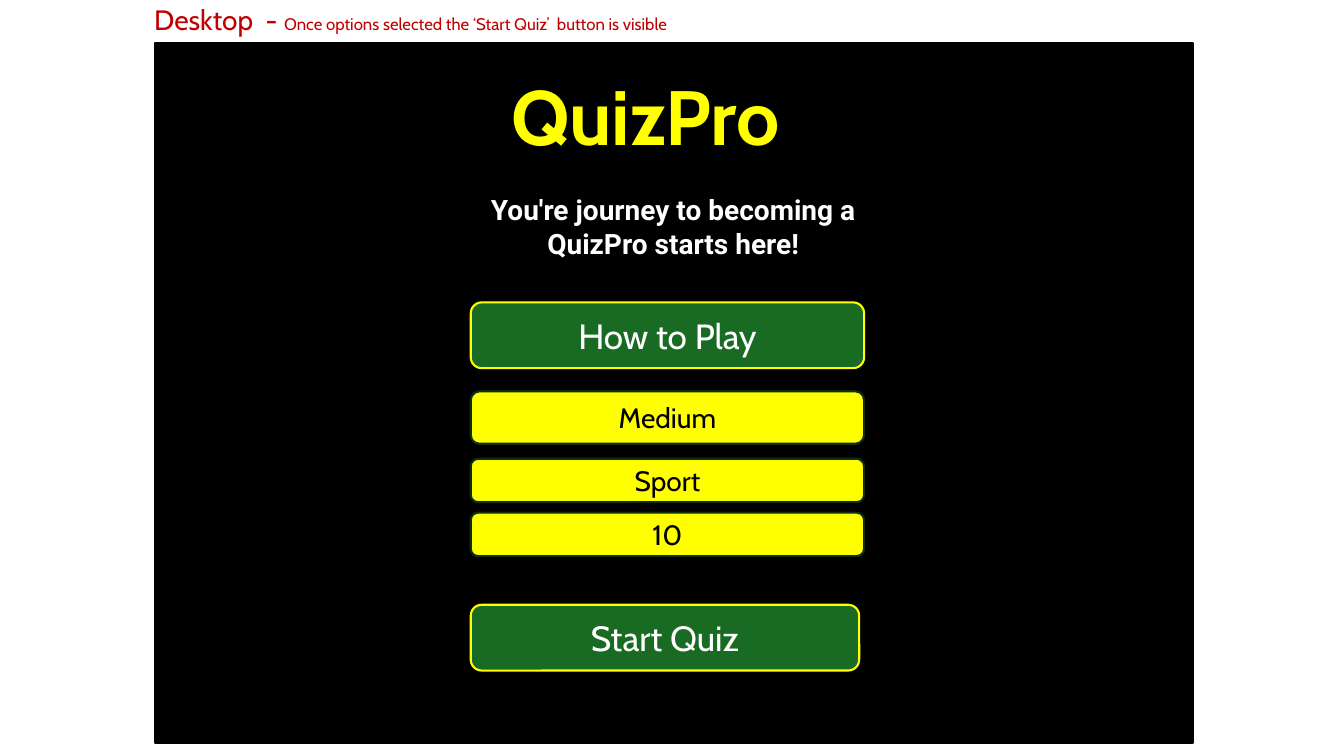
from pptx import Presentation
from pptx.dml.color import RGBColor
from pptx.enum.shapes import MSO_SHAPE
from pptx.enum.text import MSO_ANCHOR, PP_ALIGN
from pptx.util import Pt

RECTANGLE, ROUNDED = MSO_SHAPE.RECTANGLE, MSO_SHAPE.ROUNDED_RECTANGLE
TOP, MIDDLE = MSO_ANCHOR.TOP, MSO_ANCHOR.MIDDLE
LEFT, CENTER = PP_ALIGN.LEFT, PP_ALIGN.CENTER

BLACK = RGBColor(0x00, 0x00, 0x00)
WHITE = RGBColor(0xFF, 0xFF, 0xFF)
YELLOW = RGBColor(0xFF, 0xFF, 0x00)
GREEN = RGBColor(0x19, 0x6B, 0x24)
DARK_GREEN = RGBColor(0x0B, 0x2F, 0x10)
RED = RGBColor(0xC0, 0x00, 0x00)

# Content: text runs are (text, size)
CAPTION = [("Desktop  - ", 20),
           ("Once options selected the ‘Start Quiz’  button is visible", 12)]
TITLE = [("QuizPro", 55)]
TAGLINE = [("You're journey to becoming a QuizPro starts here!", 20)]

# Controls: text, top, width, height, style
CONTROLS = [
    ("How to Play", 216, 281, 47, "button"),
    ("Medium", 279.5, 281, 37.5, "option"),
    ("Sport", 327.75, 281, 31, "option"),
    ("10", 366.25, 281, 31, "option"),
    ("Start Quiz", 432, 277.5, 47, "button"),
]
CONTROL_LEFT = 336.25
# Styles: fill, line, text colour, text size
STYLES = {
    "button": (GREEN, YELLOW, WHITE, 25),
    "option": (YELLOW, DARK_GREEN, BLACK, 20),
}

presentation = Presentation()
presentation.slide_width, presentation.slide_height = Pt(960), Pt(540)
slide = presentation.slides.add_slide(presentation.slide_layouts[6])


def add_panel(kind, box, fill, line=None):
    shape = slide.shapes.add_shape(kind, *map(Pt, box))
    shape.shadow.inherit = False
    shape.fill.solid()
    shape.fill.fore_color.rgb = fill
    if line is None:
        shape.line.fill.background()
    else:
        shape.line.color.rgb = line
        shape.line.width = Pt(1.5)
    return shape


def write(shape, runs, *, color, font="Cabin", bold=False, align=CENTER,
          anchor=TOP, indent=0):
    frame = shape.text_frame
    frame.word_wrap = True
    frame.vertical_anchor = anchor
    frame.margin_left = Pt(7.2 + indent)
    paragraph = frame.paragraphs[0]
    paragraph.alignment = align
    for text, size in runs:
        run = paragraph.add_run()
        run.text = text
        run.font.name = font
        run.font.size = Pt(size)
        run.font.bold = bold
        run.font.color.rgb = color


# Screen and title
add_panel(RECTANGLE, (110.75, 31, 741.5, 499.75), BLACK, BLACK)
title = add_panel(RECTANGLE, (309, 45.5, 284.5, 74), BLACK)
write(title, TITLE, color=YELLOW, bold=True, align=LEFT, indent=49)

# Caption above the screen
caption = slide.shapes.add_textbox(Pt(103), Pt(-2), Pt(778), Pt(31.5))
write(caption, CAPTION, color=RED, align=LEFT)

# Tagline
tagline = add_panel(RECTANGLE, (310.25, 134, 341.25, 55.5), BLACK)
write(tagline, TAGLINE, color=WHITE, font="Roboto", bold=True)

# Buttons and selected options
for text, top, width, height, style in CONTROLS:
    fill, line, color, size = STYLES[style]
    control = add_panel(ROUNDED, (CONTROL_LEFT, top, width, height), fill, line)
    write(control, [(text, size)], color=color, anchor=MIDDLE)

presentation.save("out.pptx")
